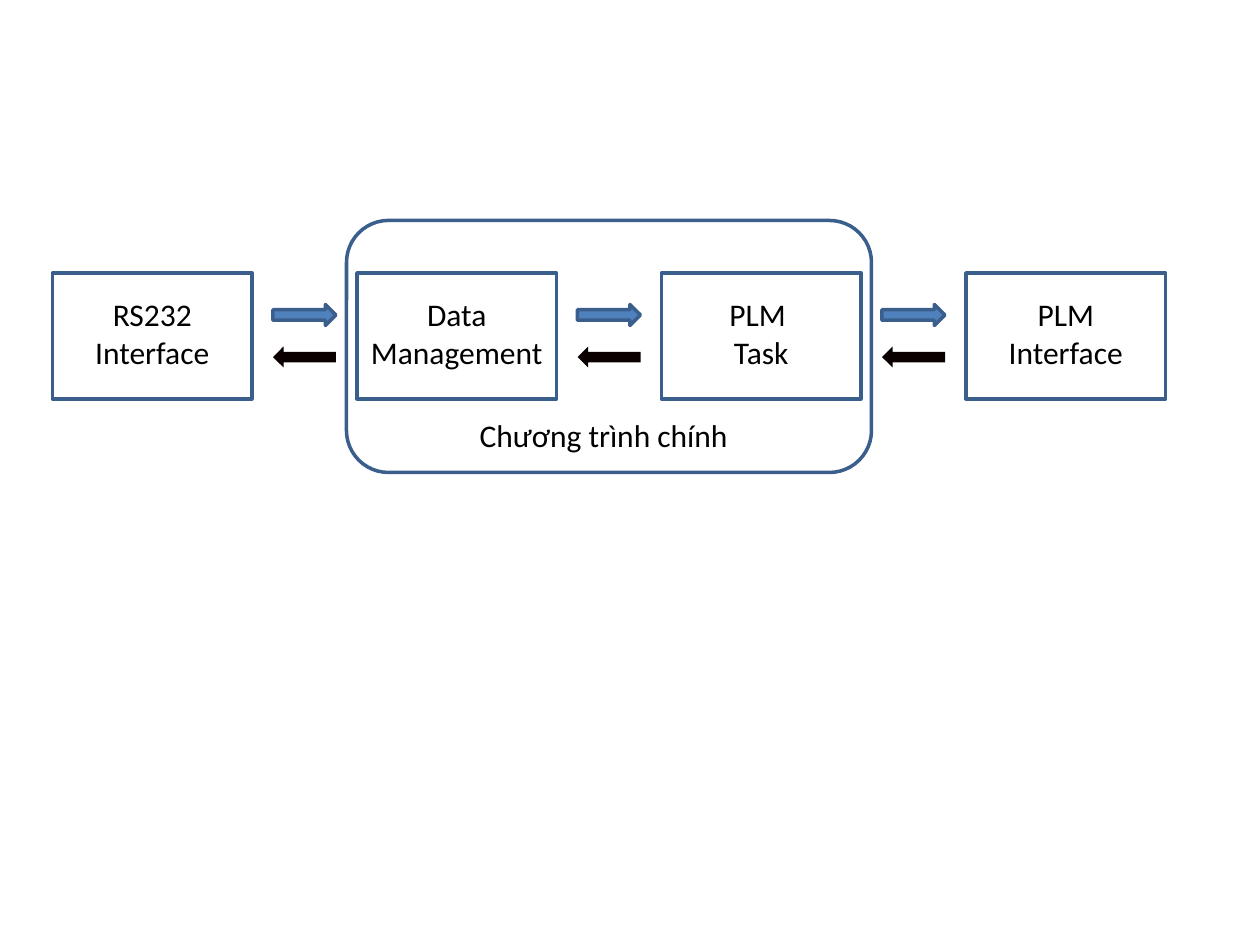
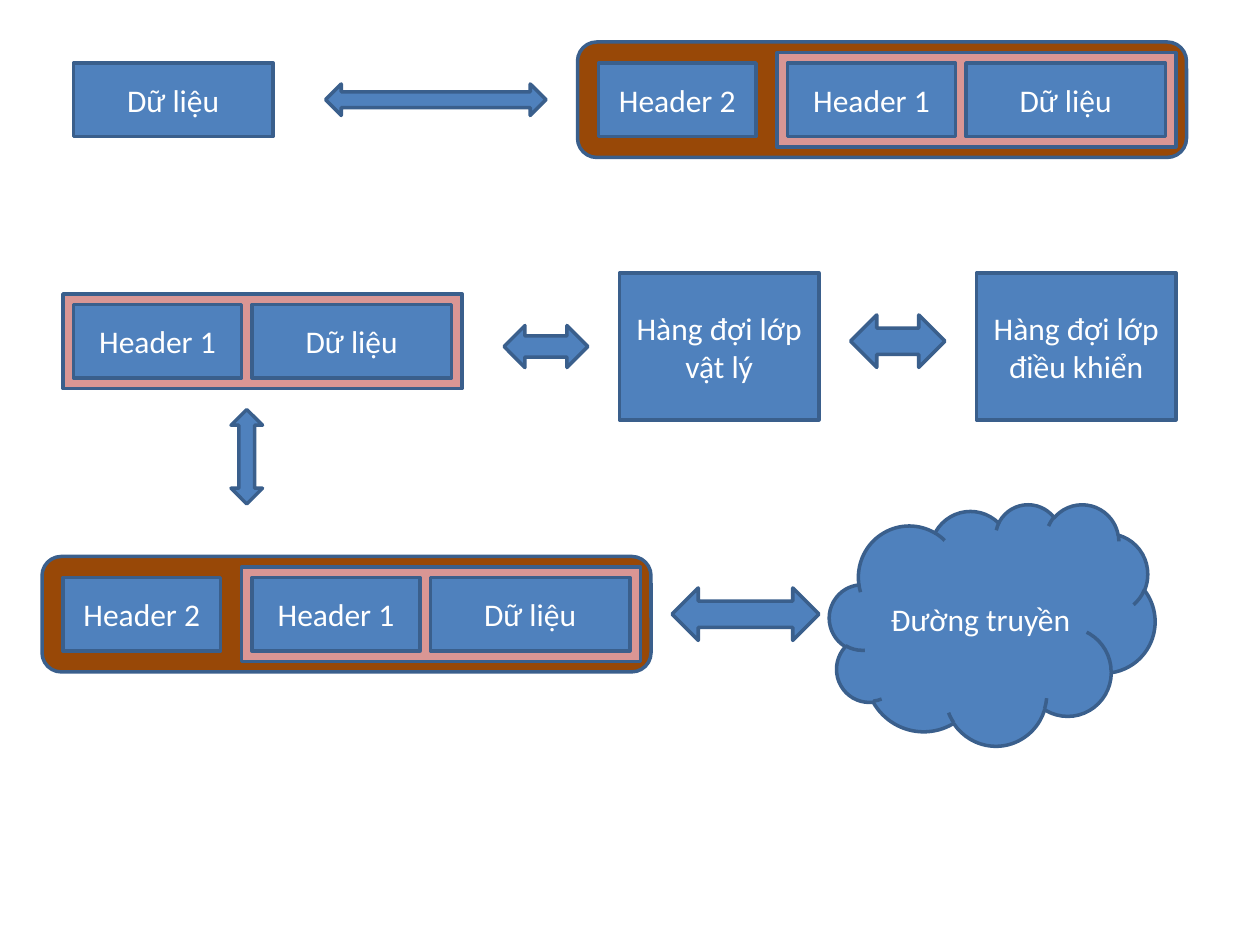
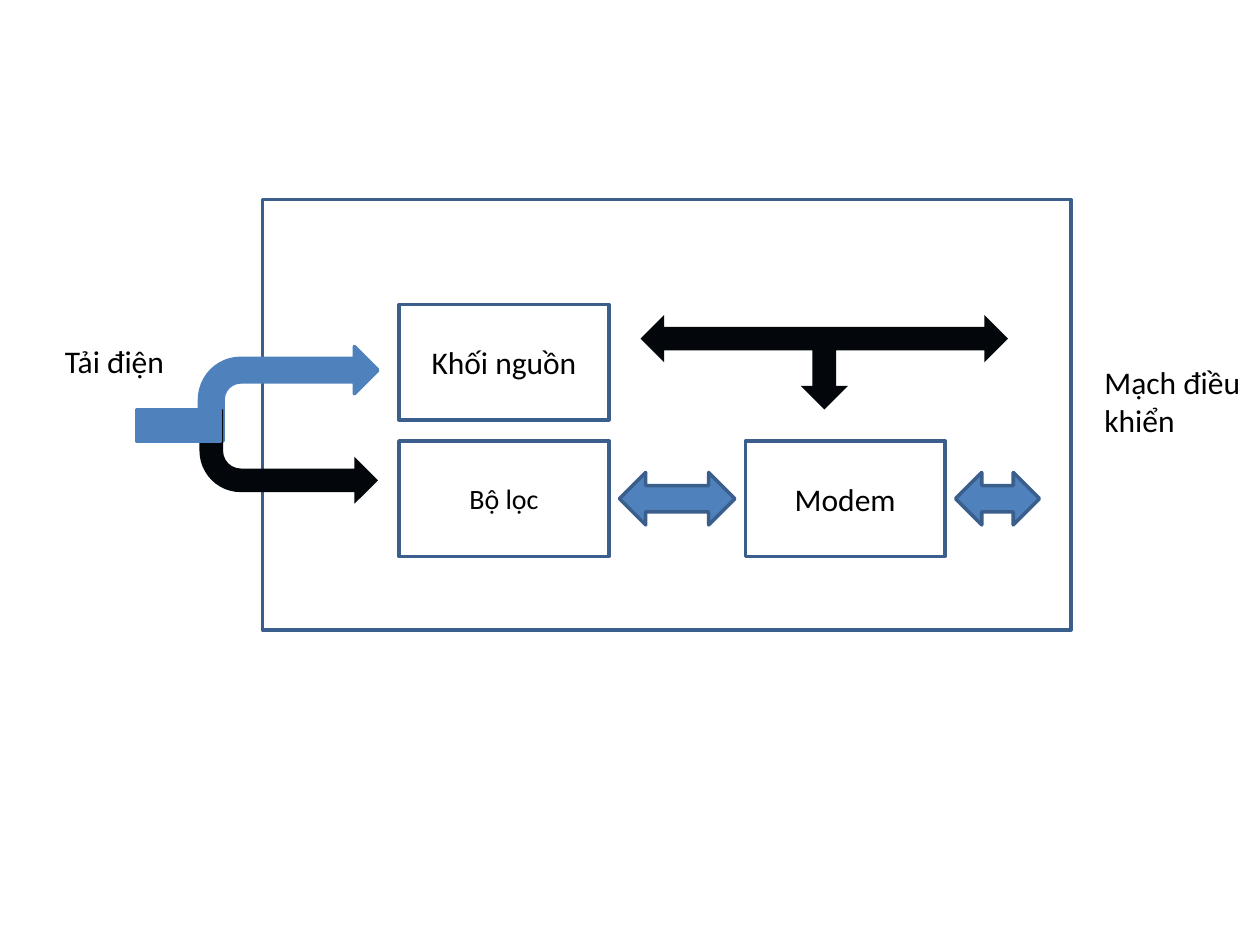
import pptx
import pptx.dml.color
import pptx.enum.shapes
import pptx.enum.text
import pptx.util

Pt = pptx.util.Pt
RGBColor = pptx.dml.color.RGBColor
MSO_SHAPE = pptx.enum.shapes.MSO_SHAPE
PP_ALIGN = pptx.enum.text.PP_ALIGN
MSO_ANCHOR = pptx.enum.text.MSO_ANCHOR

FONT = "Calibri"
BLUE = RGBColor(0x4F, 0x81, 0xBD)
OUTLINE = RGBColor(0x3A, 0x5F, 0x8C)
BROWN = RGBColor(0x98, 0x48, 0x07)
PINK = RGBColor(0xD9, 0x96, 0x94)
WHITE = RGBColor(0xFF, 0xFF, 0xFF)
BLACK = RGBColor(0x00, 0x00, 0x00)
DARK_RED = RGBColor(0x0A, 0x00, 0x00)
DARK_BLUE = RGBColor(0x03, 0x07, 0x0C)


def write_text(shape, text, color, size=18, align=PP_ALIGN.CENTER):
    text_frame = shape.text_frame
    text_frame.word_wrap = True
    text_frame.text = text
    for paragraph in text_frame.paragraphs:
        paragraph.alignment = align
        for run in paragraph.runs:
            run.font.name = FONT
            run.font.size = Pt(size)
            run.font.color.rgb = color


def add_block(slide, kind, left, top, width, height, fill=BLUE, line=OUTLINE, text=None):
    """Add a flat preset shape; None as fill or line leaves that part out."""
    shape = slide.shapes.add_shape(kind, Pt(left), Pt(top), Pt(width), Pt(height))
    shape.shadow.inherit = False
    if fill is None:
        shape.fill.background()
    else:
        shape.fill.solid()
        shape.fill.fore_color.rgb = fill
    if line is None:
        shape.line.fill.background()
    else:
        shape.line.color.rgb = line
        shape.line.width = Pt(2)
    if text:
        shape.text_frame.vertical_anchor = MSO_ANCHOR.MIDDLE
        write_text(shape, text, BLACK if fill == WHITE else WHITE)
    return shape


presentation = pptx.Presentation()
presentation.slide_width = Pt(720)
presentation.slide_height = Pt(540)
blank_layout = presentation.slide_layouts[6]

# Slide 1: program modules
slide = presentation.slides.add_slide(blank_layout)
modules = (
    ("RS232 Interface", 90),
    ("Data Management", 114),
    ("PLM \vTask", 90),
    ("PLM Interface", 90),
)
module_width, module_step = 114, 174
module_lefts = [30 + module_step * index for index in range(len(modules))]

for left in module_lefts:
    add_block(slide, MSO_SHAPE.RECTANGLE, left, 156, module_width, 72, WHITE)
for left, (name, label_width) in zip(module_lefts, modules):
    label_left = left + (module_width - label_width) / 2
    label = slide.shapes.add_textbox(Pt(label_left), Pt(165), Pt(label_width), Pt(51))
    write_text(label, name, BLACK)
for left in module_lefts[:-1]:
    add_block(slide, MSO_SHAPE.RIGHT_ARROW, left + 126, 174, 36, 12)
    return_arrow = add_block(slide, MSO_SHAPE.RIGHT_ARROW, left + 126, 198, 36, 12, DARK_RED, None)
    return_arrow.rotation = 180

add_block(slide, MSO_SHAPE.ROUNDED_RECTANGLE, 198, 126, 300, 144, None)
label = slide.shapes.add_textbox(Pt(258), Pt(234), Pt(174), Pt(29))
write_text(label, "Chương trình chính", BLACK)

# Slide 2: packet layers
slide = presentation.slides.add_slide(blank_layout)
for left, top in ((24, 318), (330, 24)):
    add_block(slide, MSO_SHAPE.ROUNDED_RECTANGLE, left, top, 348, 66, BROWN)
    add_block(slide, MSO_SHAPE.RECTANGLE, left + 12, top + 12, 90, 42, text="Header 2")
for left, top in ((138, 324), (444, 30), (36, 168)):
    add_block(slide, MSO_SHAPE.RECTANGLE, left, top, 228, 54, PINK)
    add_block(slide, MSO_SHAPE.RECTANGLE, left + 6, top + 6, 96, 42, text="Header 1")
    add_block(slide, MSO_SHAPE.RECTANGLE, left + 108, top + 6, 114, 42, text="Dữ liệu")

add_block(slide, MSO_SHAPE.RECTANGLE, 42, 36, 114, 42, text="Dữ liệu")
for left, name in ((354, "Hàng đợi lớp vật lý"), (558, "Hàng đợi lớp điều khiển")):
    add_block(slide, MSO_SHAPE.RECTANGLE, left, 156, 114, 84, text=name)
add_block(slide, MSO_SHAPE.CLOUD, 474, 288, 186, 138, text="Đường truyền")

for left, top, width, height in (
    (186, 48, 126, 18),
    (288, 186, 48, 24),
    (486, 180, 54, 30),
    (384, 336, 84, 30),
):
    add_block(slide, MSO_SHAPE.LEFT_RIGHT_ARROW, left, top, width, height)
add_block(slide, MSO_SHAPE.UP_DOWN_ARROW, 132, 234, 18, 54)

# Slide 3: power line circuit
slide = presentation.slides.add_slide(blank_layout)
add_block(slide, MSO_SHAPE.RECTANGLE, 150, 114, 462, 246, WHITE)
filter_block = add_block(slide, MSO_SHAPE.RECTANGLE, 228, 252, 120, 66, WHITE)
write_text(filter_block, "Bộ lọc", BLACK, 16)
add_block(slide, MSO_SHAPE.RECTANGLE, 228, 174, 120, 66, WHITE, text="Khối nguồn")
add_block(slide, MSO_SHAPE.RECTANGLE, 426, 252, 114, 66, WHITE, text="Modem")

for left, width in ((354, 66), (546, 48)):
    add_block(slide, MSO_SHAPE.LEFT_RIGHT_ARROW, left, 270, width, 30)
supply_arrow = add_block(slide, MSO_SHAPE.LEFT_RIGHT_UP_ARROW, 366, 180, 210, 54, DARK_BLUE, None)
supply_arrow.rotation = 180

add_block(slide, MSO_SHAPE.BENT_ARROW, 114, 198, 102, 54, BLUE, BLUE)
signal_arrow = add_block(slide, MSO_SHAPE.BENT_ARROW, 114, 234, 102, 54, DARK_BLUE, None)
signal_arrow._element.spPr.xfrm.set("flipV", "1")
add_block(slide, MSO_SHAPE.RECTANGLE, 78, 234, 48, 18, BLUE, BLUE)

for name, left, top, width, height in (
    ("Tải điện", 30, 192, 84, 29),
    ("Mạch điều khiển", 624, 204, 96, 51),
):
    label = slide.shapes.add_textbox(Pt(left), Pt(top), Pt(width), Pt(height))
    write_text(label, name, BLACK, align=PP_ALIGN.LEFT)

presentation.save("out.pptx")
